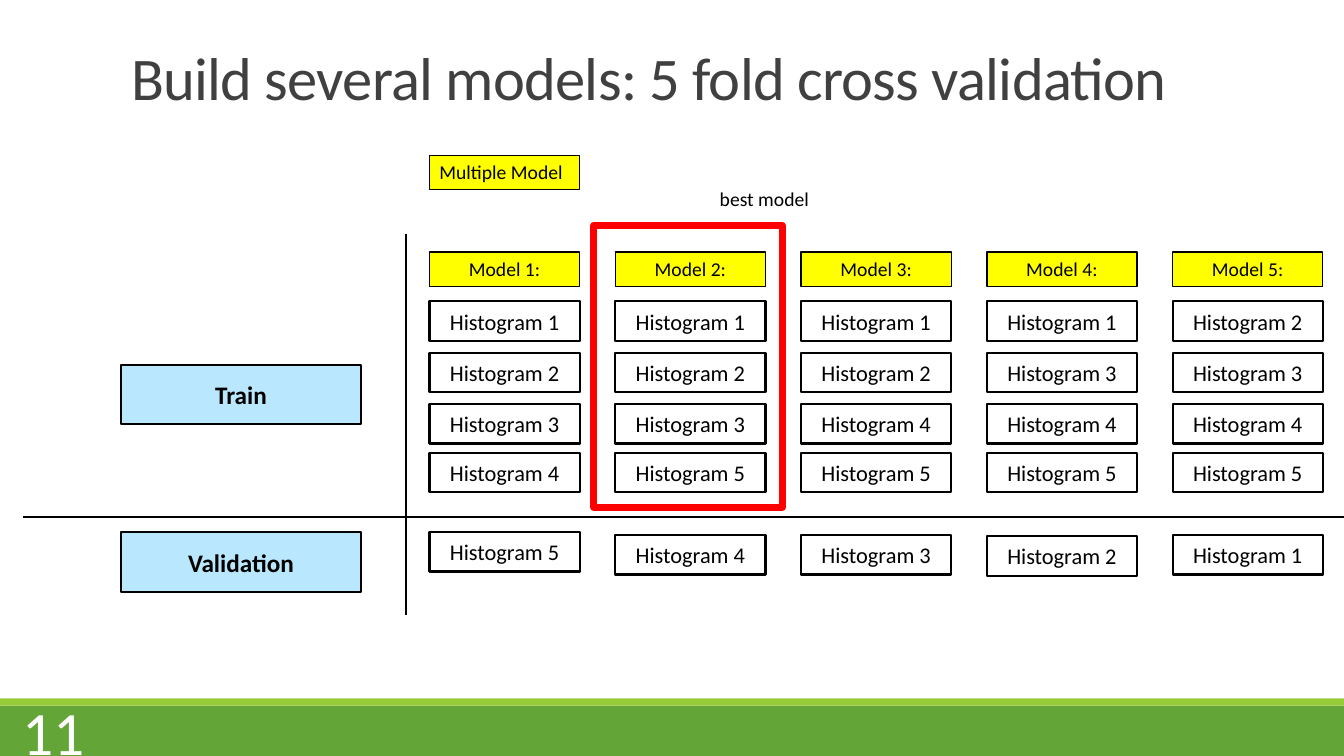
from lxml import etree
from pptx import Presentation
from pptx.dml.color import RGBColor
from pptx.enum import shapes, text
from pptx.oxml.ns import qn
from pptx.util import Inches, Pt

HUES = {
    "black": "000000", "white": "FFFFFF", "gray": "404040", "red": "FF0000",
    "yellow": "FFFF00", "blue": "B9E7FD", "green": "63A537", "lime": "99CB38",
}
LEFT, MID, RIGHT = text.PP_ALIGN.LEFT, text.PP_ALIGN.CENTER, text.PP_ALIGN.RIGHT


def hue(name):
    return RGBColor.from_string(HUES[name])


class Deck:
    face = "Calibri"

    def __init__(self, wide, high):
        self.file = Presentation()
        self.file.slide_width, self.file.slide_height = Inches(wide), Inches(high)
        self.slide = self.file.slides.add_slide(self.file.slide_layouts[5])

    def letter(self, shape, words, size, color="black", align=MID, bold=False,
               anchor=text.MSO_ANCHOR.MIDDLE, grow=False, wrap=True):
        frame = shape.text_frame
        frame.text = words
        frame.word_wrap = wrap
        frame.vertical_anchor = anchor
        fit = text.MSO_AUTO_SIZE
        frame.auto_size = fit.SHAPE_TO_FIT_TEXT if grow else fit.NONE
        para = frame.paragraphs[0]
        para.alignment = align
        font = para.font
        font.name, font.size, font.bold = self.face, Pt(size), bold
        font.color.rgb = hue(color)
        return para

    def title(self, words, x, y, w, h):
        shape = self.slide.shapes.title
        shape.left, shape.top, shape.width, shape.height = map(Inches, (x, y, w, h))
        para = self.letter(shape, words, 43.2, "gray", LEFT,
                           anchor=text.MSO_ANCHOR.BOTTOM)
        para.line_spacing = 0.85
        para.runs[0]._r.get_or_add_rPr().set("spc", "-50")

    def box(self, x, y, w, h, fill=None, line=None, weight=1):
        shape = self.slide.shapes.add_shape(
            shapes.MSO_SHAPE.RECTANGLE, *map(Inches, (x, y, w, h)))
        shape.shadow.inherit = False
        if fill:
            shape.fill.solid()
            shape.fill.fore_color.rgb = hue(fill)
        else:
            shape.fill.background()
        if line:
            shape.line.color.rgb = hue(line)
            shape.line.width = Pt(weight)
        else:
            shape.line.fill.background()
        return shape

    def label(self, words, x, y, w, h, size, **style):
        shape = self.slide.shapes.add_textbox(*map(Inches, (x, y, w, h)))
        self.letter(shape, words, size, **style)

    def head(self, words, x, y, align=MID):
        shape = self.box(x, y, 1.49, 0.34, "yellow", "black")
        self.letter(shape, words, 14, align=align, grow=True,
                    anchor=text.MSO_ANCHOR.TOP)

    def cell(self, num, x, y):
        shape = self.box(x, y, 1.49, 0.39, line="black", weight=1.5)
        self.letter(shape, f"Histogram {num}", 16)

    def stage(self, words, y):
        shape = self.box(1.2, y, 2.38, 0.59, "blue", "black", 1.25)
        self.letter(shape, words, 18, bold=True)

    def rule(self, *ends):
        line = self.slide.shapes.add_connector(
            shapes.MSO_CONNECTOR.STRAIGHT, *map(Inches, ends))
        line.line.color.rgb = hue("black")
        line.line.width = Pt(1.25)
        etree.SubElement(line._element.spPr, qn("a:effectLst"))


def main():
    deck = Deck(13.33, 7.5)
    deck.box(0, 7, 13.33, 0.5, "green")
    deck.box(0, 6.93, 13.33, 0.07, "lime")
    deck.title("Build several models: 5 fold cross validation", 1.2, 0.11, 11, 1.06)
    deck.label("11", -0.49, 7.05, 1.43, 0.4, 44, color="white", align=RIGHT)

    start, end, folds = 4.26, 11.63, 5
    step = (end - start) / (folds - 1)
    rows = (2.99, 3.5, 4.01, 4.49)
    tests = (5.28, 5.31, 5.31, 5.32, 5.31)
    deck.head("Multiple Model", start, 1.54, LEFT)
    for col, low in enumerate(tests):
        x = start + col * step
        held = folds - col
        deck.head(f"Model {col + 1}:", x, 2.5)
        train = [num for num in range(1, folds + 1) if num != held]
        for num, y in zip(train, rows):
            deck.cell(num, x, y)
        deck.cell(held, x, low)

    deck.stage("Train", 3.62)
    deck.stage("Validation", 5.28)
    deck.rule(4.03, 2.32, 4.03, 6.1)
    deck.rule(0.23, 5.13, 13.33, 5.13)
    deck.box(5.89, 2.24, 1.87, 2.79, line="red", weight=5)
    deck.label("best model", 7.04, 1.81, 1.1, 0.34, 14, align=LEFT,
               anchor=text.MSO_ANCHOR.TOP, grow=True, wrap=False)
    deck.file.save("out.pptx")


if __name__ == "__main__":
    main()
